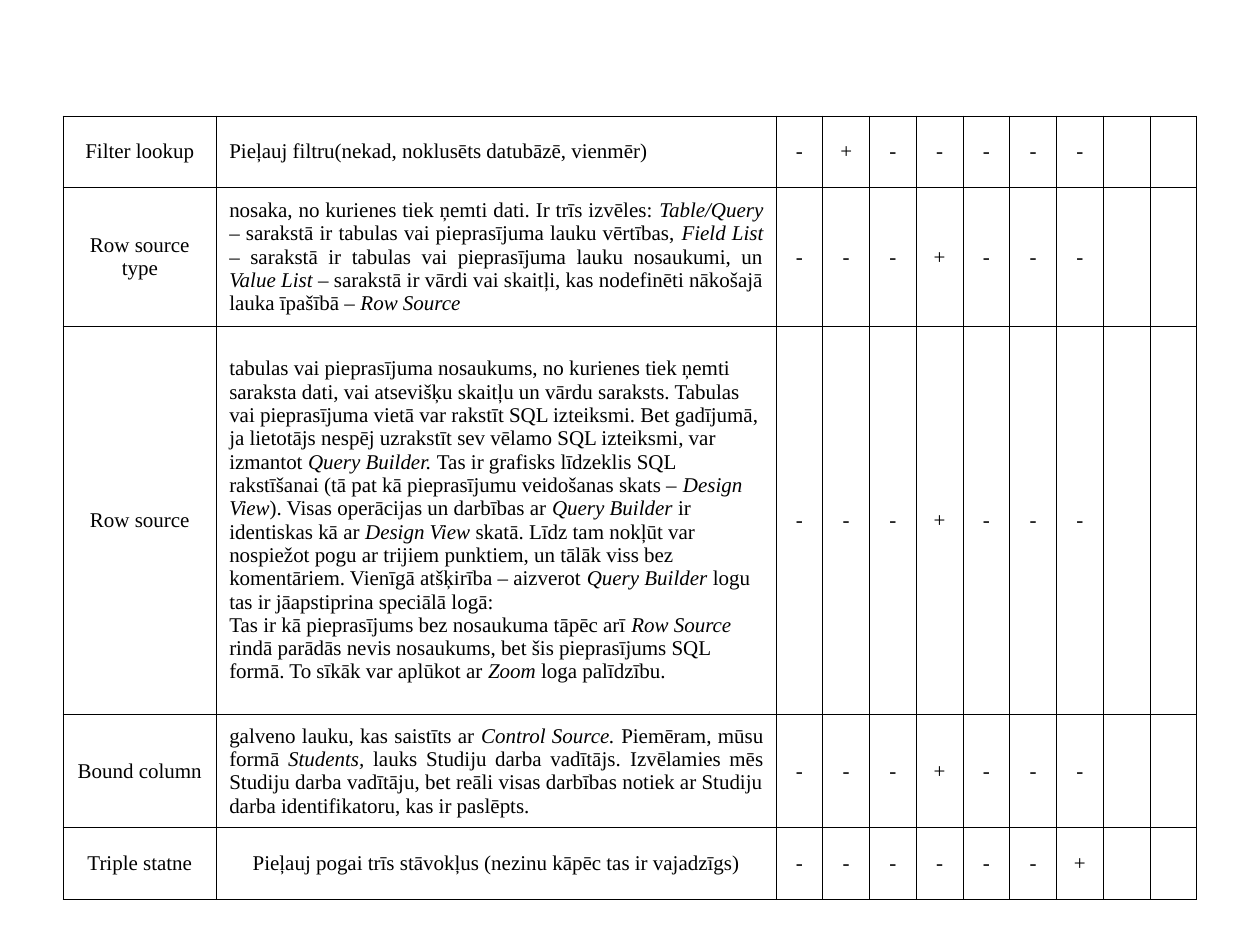
from lxml import etree
from pptx import Presentation
from pptx.dml.color import RGBColor
from pptx.enum.text import MSO_ANCHOR, PP_ALIGN
from pptx.oxml.ns import qn
from pptx.util import Inches, Pt

MIDDLE = MSO_ANCHOR.MIDDLE
LEFT, CENTER, JUST = PP_ALIGN.LEFT, PP_ALIGN.CENTER, PP_ALIGN.JUSTIFY

THEME = {"font": "Times New Roman", "size": 12, "ink": "000000", "line": 0.45}

# Text between asterisks is italic.
ROWS = [
    ("Filter lookup", 0.57, JUST, "-+-----", [
        "Pieļauj filtru(nekad, noklusēts datubāzē, vienmēr)"]),
    ("Row source type", 1.1, JUST, "---+---", [
        "nosaka, no kurienes tiek ņemti dati. Ir trīs izvēles: *Table/Query *"
        "– sarakstā ir tabulas vai pieprasījuma lauku vērtības,* Field List* "
        "– sarakstā ir tabulas vai pieprasījuma lauku nosaukumi, un *Value List *"
        "– sarakstā ir vārdi vai skaitļi, kas nodefinēti nākošajā lauka īpašībā – "
        "*Row Source*"]),
    ("Row source", 3.08, LEFT, "---+---", [
        "tabulas vai pieprasījuma nosaukums, no kurienes tiek ņemti saraksta dati, "
        "vai atsevišķu skaitļu un vārdu saraksts. Tabulas vai pieprasījuma vietā var "
        "rakstīt SQL izteiksmi. Bet gadījumā, ja lietotājs nespēj uzrakstīt sev vēlamo "
        "SQL izteiksmi, var izmantot *Query Builder. *Tas ir grafisks līdzeklis SQL "
        "rakstīšanai (tā pat kā pieprasījumu veidošanas skats – *Design View*). Visas "
        "operācijas un darbības ar *Query Builder* ir identiskas kā ar *Design View* "
        "skatā. Līdz tam nokļūt var nospiežot pogu ar trijiem punktiem, un tālāk viss "
        "bez komentāriem. Vienīgā atšķirība – aizverot *Query Builder* logu tas ir "
        "jāapstiprina speciālā logā:",
        "Tas ir kā pieprasījums bez nosaukuma tāpēc arī *Row Source* rindā parādās "
        "nevis nosaukums, bet šis pieprasījums SQL formā. To sīkāk var aplūkot ar "
        "*Zoom* loga palīdzību."]),
    ("Bound column", 0.9, JUST, "---+---", [
        "galveno lauku, kas saistīts ar *Control Source. *Piemēram, mūsu formā "
        "*Students, *lauks Studiju darba vadītājs*.* Izvēlamies mēs Studiju darba "
        "vadītāju, bet reāli visas darbības notiek ar Studiju darba identifikatoru, "
        "kas ir paslēpts."]),
    ("Triple statne", 0.57, CENTER, "------+", [
        "Pieļauj pogai trīs stāvokļus (nezinu kāpēc tas ir vajadzīgs)"]),
]
X, Y, WIDTH = 0.5, 0.92, 9
NAME, NOTE, MARKS = 1.22, 4.44, 9
COLS = [NAME, NOTE] + [(WIDTH - NAME - NOTE) / MARKS] * MARKS


def frame(cell):
    props = cell._tc.get_or_add_tcPr()
    for side in ("lnL", "lnR", "lnT", "lnB"):
        line = etree.SubElement(props, qn("a:" + side), w=str(Pt(THEME["line"])))
        fill = etree.SubElement(line, qn("a:solidFill"))
        etree.SubElement(fill, qn("a:srgbClr"), val=THEME["ink"])
    cell.fill.background()


def write(cell, paras, align):
    cell.vertical_anchor = MIDDLE
    cell.text_frame.text = "\n".join(paras)
    for para, text in zip(cell.text_frame.paragraphs, paras):
        para.text = ""
        para.alignment = align
        for i, part in enumerate(text.split("*")):
            if part:
                run = para.add_run()
                run.text = part
                font = run.font
                font.name = THEME["font"]
                font.size = Pt(THEME["size"])
                font.italic = i % 2 == 1
                font.color.rgb = RGBColor.from_string(THEME["ink"])


def main():
    deck = Presentation()
    deck.slide_width, deck.slide_height = Inches(10), Inches(7.5)
    slide = deck.slides.add_slide(deck.slide_layouts[6])
    height = sum(row[1] for row in ROWS)
    table = slide.shapes.add_table(
        len(ROWS), len(COLS), Inches(X), Inches(Y), Inches(WIDTH), Inches(height)).table
    table.first_row = table.horz_banding = False
    for col, width in zip(table.columns, COLS):
        col.width = Inches(width)
    for row, (name, high, align, marks, note) in zip(table.rows, ROWS):
        row.height = Inches(high)
        for cell in row.cells:
            frame(cell)
        texts = [([name], CENTER), (note, align)] + [([mark], CENTER) for mark in marks]
        for cell, (paras, side) in zip(row.cells, texts):
            write(cell, paras, side)
    deck.save("out.pptx")


if __name__ == "__main__":
    main()
